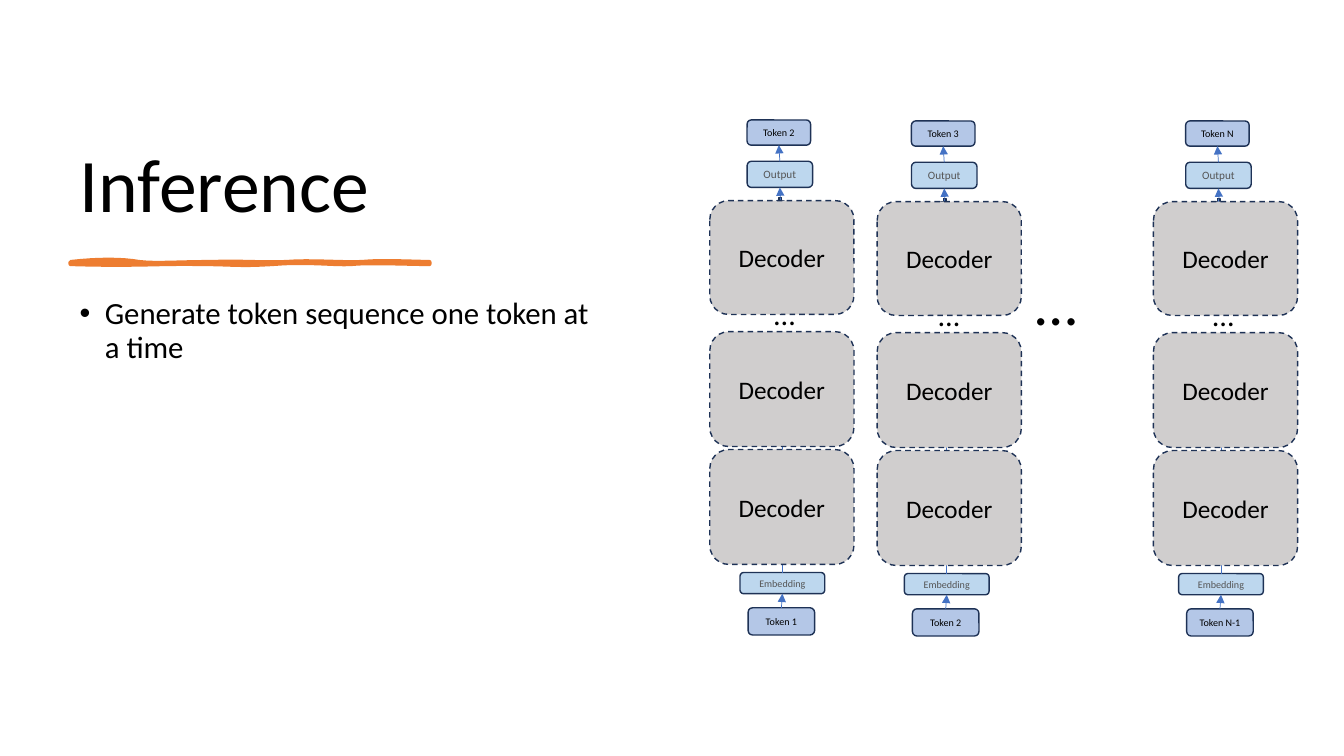
from dataclasses import dataclass
from typing import Optional

from lxml.etree import SubElement
from pptx import Presentation
from pptx.dml.color import RGBColor
from pptx.enum.dml import MSO_LINE
from pptx.enum.shapes import MSO_CONNECTOR as Link, MSO_SHAPE as Preset
from pptx.enum.text import MSO_ANCHOR as Anchor, MSO_AUTO_SIZE as AutoSize, PP_ALIGN as Align
from pptx.oxml.ns import qn
from pptx.shapes.autoshape import Shape
from pptx.slide import Slide
from pptx.util import Pt

PX = 9144


@dataclass(frozen=True)
class Theme:
    font: str = "Calibri"
    ink: str = "000000"
    muted: str = "555555"
    token: str = "B4C7E7"
    layer: str = "BDD7EE"
    decoder: str = "D0CECE"
    border: str = "1E3256"
    arrow: str = "4472C4"
    accent: str = "ED7D31"
    title_size: float = 54
    body_size: float = 22
    decoder_size: float = 18
    output_size: float = 8
    small_size: float = 7.2
    gap_size: float = 21.6
    wide_gap_size: float = 43.2


@dataclass(frozen=True)
class Box:
    left: int
    top: int
    width: int
    height: int

    def moved(self, right: int, down: int) -> "Box":
        return Box(self.left + right, self.top + down, self.width, self.height)

    def emu(self) -> tuple[int, ...]:
        return tuple(n * PX for n in (self.left, self.top, self.width, self.height))


@dataclass(frozen=True)
class Step:
    token_in: str
    token_out: str
    shift: int
    drop: int
    decoder_left: int


THEME = Theme()
STEPS = (
    Step("Token 1", "Token 2", 0, 0, 704),
    Step("Token 2", "Token 3", 163, 1, 870),
    Step("Token N-1", "Token N", 435, 1, 1144),
)
DECODER_ROWS = ((199, 113), (329, 114), (446, 114))
UNDERLINE_START = (70, 260)
UNDERLINE_CURVES = (
    ((97, 257), (121, 257), (138, 260)),
    ((155, 262), (177, 260), (209, 260)),
    ((241, 259), (260, 261), (284, 260)),
    ((308, 258), (339, 261), (359, 260)),
    ((379, 258), (412, 260), (426, 260)),
    ((426, 260), (426, 261), (426, 262)),
    ((408, 262), (364, 260), (348, 262)),
    ((332, 263), (304, 259), (270, 262)),
    ((235, 264), (231, 262), (199, 262)),
    ((166, 261), (132, 264), (70, 262)),
)
CURVE_PARTS = 8


def rgb(code: str) -> RGBColor:
    return RGBColor.from_string(code)


def add_span(para, text: str, size: float, color: str) -> None:
    span = para.add_run()
    span.text = text
    span.font.name = THEME.font
    span.font.size = Pt(size)
    span.font.color.rgb = rgb(color)


def paint(shape: Shape, fill: str, line: str, width: float) -> None:
    shape.shadow.inherit = False
    shape.fill.solid()
    shape.fill.fore_color.rgb = rgb(fill)
    shape.line.color.rgb = rgb(line)
    shape.line.width = Pt(width)


def add_block(page: Slide, box: Box, text: str, fill: str, size: float,
              color: str = THEME.ink, after: float = 3.6) -> Shape:
    block = page.shapes.add_shape(Preset.ROUNDED_RECTANGLE, *box.emu())
    paint(block, fill, THEME.border, 1)
    frame = block.text_frame
    frame.margin_left = frame.margin_right = frame.margin_top = frame.margin_bottom = 0
    frame.vertical_anchor = Anchor.MIDDLE
    para = frame.paragraphs[0]
    para.alignment = Align.CENTER
    para.space_after = Pt(after)
    add_span(para, text, size, color)
    return block


def add_ellipsis(page: Slide, box: Box, size: float) -> None:
    frame = page.shapes.add_textbox(*box.emu()).text_frame
    frame.word_wrap = True
    para = frame.paragraphs[0]
    para.space_after = Pt(4.6)
    add_span(para, "…", size, THEME.ink)


def add_arrow(page: Slide, x: int, start: int, end: int,
              source: Optional[Shape] = None, target: Optional[Shape] = None) -> None:
    arrow = page.shapes.add_connector(Link.STRAIGHT, x * PX, start * PX, x * PX, end * PX)
    if source is not None:
        arrow.begin_connect(source, 0)
    if target is not None:
        arrow.end_connect(target, 2)
    arrow.line.color.rgb = rgb(THEME.arrow)
    arrow.line.width = Pt(0.5)
    properties = arrow.element.spPr
    SubElement(properties.find(qn("a:ln")), qn("a:tailEnd"), type="triangle")
    SubElement(properties, qn("a:effectLst"))


def add_step(page: Slide, step: Step) -> None:
    def place(left: int, top: int, width: int, height: int) -> Box:
        return Box(left, top, width, height).moved(step.shift, step.drop)

    axis = 776 + step.shift
    token_in = add_block(page, place(742, 603, 66, 27), step.token_in, THEME.token, THEME.small_size)
    embedding = add_block(page, place(734, 568, 84, 21), "Embedding", THEME.layer,
                          THEME.small_size, THEME.muted)
    output = add_block(page, place(741, 160, 65, 26), "Output", THEME.layer,
                       THEME.output_size, THEME.muted)
    token_out = add_block(page, place(741, 119, 63, 25), step.token_out, THEME.token, THEME.small_size)
    plus = page.shapes.add_shape(Preset.MATH_PLUS, *place(769, 194, 10, 13).emu())
    paint(plus, THEME.arrow, THEME.border, 1)

    add_arrow(page, axis, 603, 589, token_in, embedding)
    add_arrow(page, axis, 568 + step.drop, 515 + step.drop, embedding)
    add_arrow(page, axis, 449 + step.drop, 397 + step.drop)
    add_arrow(page, axis - 2, 196 + step.drop, 186 + step.drop, target=output)
    add_arrow(page, axis, 160, 144, output, token_out)
    add_ellipsis(page, place(758, 288, 72, 53), THEME.gap_size)

    for top, height in DECODER_ROWS:
        box = Box(step.decoder_left, top + step.drop, 143, height)
        decoder = add_block(page, box, "Decoder", THEME.decoder, THEME.decoder_size, after=0)
        decoder.line.dash_style = MSO_LINE.DASH


def add_underline(page: Slide) -> None:
    points = []
    start = UNDERLINE_START
    for first, second, end in UNDERLINE_CURVES:
        for part in range(1, CURVE_PARTS + 1):
            t = part / CURVE_PARTS
            weights = ((1 - t) ** 3, 3 * t * (1 - t) ** 2, 3 * t * t * (1 - t), t ** 3)
            corners = (start, first, second, end)
            points.append(tuple(sum(w * c[axis] for w, c in zip(weights, corners)) * PX
                                for axis in (0, 1)))
        start = end
    builder = page.shapes.build_freeform(*(n * PX for n in UNDERLINE_START))
    builder.add_line_segments(points, close=True)
    paint(builder.convert_to_shape(), THEME.accent, THEME.accent, 3)


def fill_placeholder(holder, box: Box, text: str, size: float, anchor: Anchor, bullet: str = "") -> None:
    holder.left, holder.top, holder.width, holder.height = box.emu()
    frame = holder.text_frame
    frame.word_wrap = True
    frame.auto_size = AutoSize.NONE
    frame.vertical_anchor = anchor
    para = frame.paragraphs[0]
    if bullet:
        properties = para._p.get_or_add_pPr()
        properties.set("marL", str(25 * PX))
        properties.set("indent", str(-25 * PX))
        SubElement(properties, qn("a:buChar"), char=bullet)
    para.alignment = Align.LEFT
    para.line_spacing = 0.9
    para.space_before = Pt(0)
    add_span(para, text, size, THEME.ink)


def main() -> None:
    deck = Presentation()
    deck.slide_width, deck.slide_height = 1333 * PX, 750 * PX
    page = deck.slides.add_slide(deck.slide_layouts[1])
    fill_placeholder(page.shapes.title, Box(69, 70, 527, 162), "Inference",
                     THEME.title_size, Anchor.BOTTOM)
    fill_placeholder(page.placeholders[1], Box(69, 291, 527, 388),
                     "Generate token sequence one token at a time",
                     THEME.body_size, Anchor.TOP, "•")
    add_underline(page)
    add_ellipsis(page, Box(1017, 258, 59, 98), THEME.wide_gap_size)
    for step in STEPS:
        add_step(page, step)
    deck.save("out.pptx")


if __name__ == "__main__":
    main()
